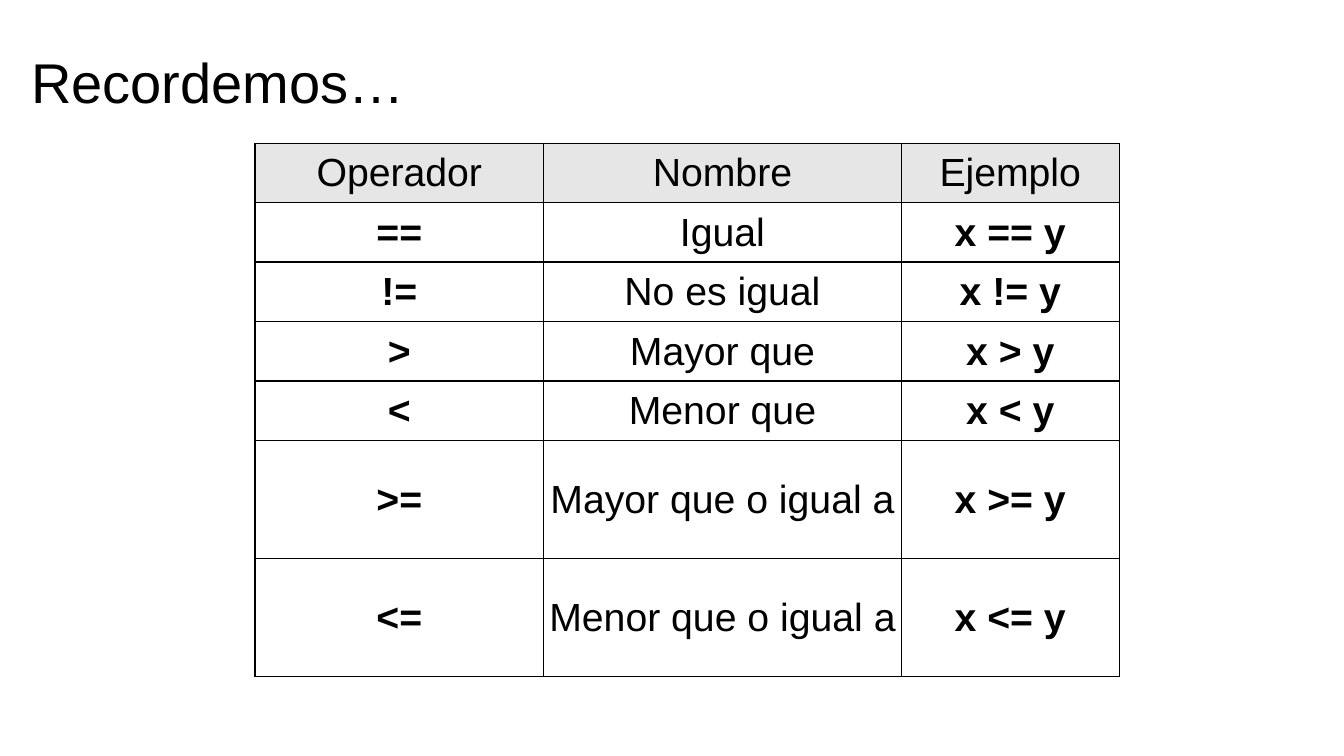
"""Build a slide with a table of comparison operators."""
from lxml.etree import SubElement
from pptx import Presentation
from pptx.dml.color import RGBColor
from pptx.enum.text import MSO_ANCHOR, MSO_AUTO_SIZE, PP_ALIGN
from pptx.oxml.ns import qn
from pptx.util import Inches, Pt

theme = {
    "font": "Arial",
    "ink": "000000",
    "head": "E7E6E6",
    "body": "FFFFFF",
    "title": Pt(40),
    "text": Pt(28),
    "line": Pt(1),
}


def style(para, size, bold, align):
    """Format one paragraph."""
    para.alignment = align
    font = para.font
    for key, val in {"name": theme["font"], "size": size, "bold": bold}.items():
        setattr(font, key, val)
    font.color.rgb = RGBColor.from_string(theme["ink"])


def border(cell):
    """Draw the four sides of a cell, then leave room for its fill."""
    props = cell._tc.get_or_add_tcPr()
    for side in ("a:lnL", "a:lnR", "a:lnT", "a:lnB"):
        line = SubElement(props, qn(side), w=str(theme["line"]))
        fill = SubElement(line, qn("a:solidFill"))
        SubElement(fill, qn("a:srgbClr"), val=theme["ink"])


prs = Presentation()
prs.slide_width, prs.slide_height = Inches(13.33), Inches(7.5)
slide = prs.slides.add_slide(prs.slide_layouts[5])

title = slide.shapes.title
place = {"left": 0.21, "top": 0.42, "width": 3.94, "height": 0.77}
for key, val in place.items():
    setattr(title, key, Inches(val))
frame = title.text_frame
frame.text = "Recordemos…"
layout = {
    "word_wrap": False,
    "auto_size": MSO_AUTO_SIZE.SHAPE_TO_FIT_TEXT,
    "vertical_anchor": MSO_ANCHOR.TOP,
}
for key, val in layout.items():
    setattr(frame, key, val)
style(frame.paragraphs[0], theme["title"], False, PP_ALIGN.LEFT)

names = {
    "==": "Igual",
    "!=": "No es igual",
    ">": "Mayor que",
    "<": "Menor que",
    ">=": "Mayor que o igual a",
    "<=": "Menor que o igual a",
}
rows = [("Operador", "Nombre", "Ejemplo")]
rows += [(sign, name, f"x {sign} y") for sign, name in names.items()]
widths = [2.86, 3.55, 2.16]
heights = [0.59] * 5 + [1.17] * 2

table = slide.shapes.add_table(
    len(rows), len(widths), Inches(2.53), Inches(1.42),
    Inches(sum(widths)), Inches(sum(heights))).table
table.first_row = table.horz_banding = False
for col, width in zip(table.columns, widths):
    col.width = Inches(width)
for row, height in zip(table.rows, heights):
    row.height = Inches(height)

inset = {
    "margin_left": Inches(0.01),
    "margin_top": Inches(0.01),
    "margin_right": Inches(0.01),
    "margin_bottom": 0,
    "vertical_anchor": MSO_ANCHOR.MIDDLE,
}
for i, row in enumerate(rows):
    for j, text in enumerate(row):
        cell = table.cell(i, j)
        cell.text = text
        for key, val in inset.items():
            setattr(cell, key, val)
        border(cell)
        cell.fill.solid()
        shade = theme["body" if i else "head"]
        cell.fill.fore_color.rgb = RGBColor.from_string(shade)
        bold = i > 0 and j != 1
        style(cell.text_frame.paragraphs[0], theme["text"], bold, PP_ALIGN.CENTER)

prs.save("out.pptx")
